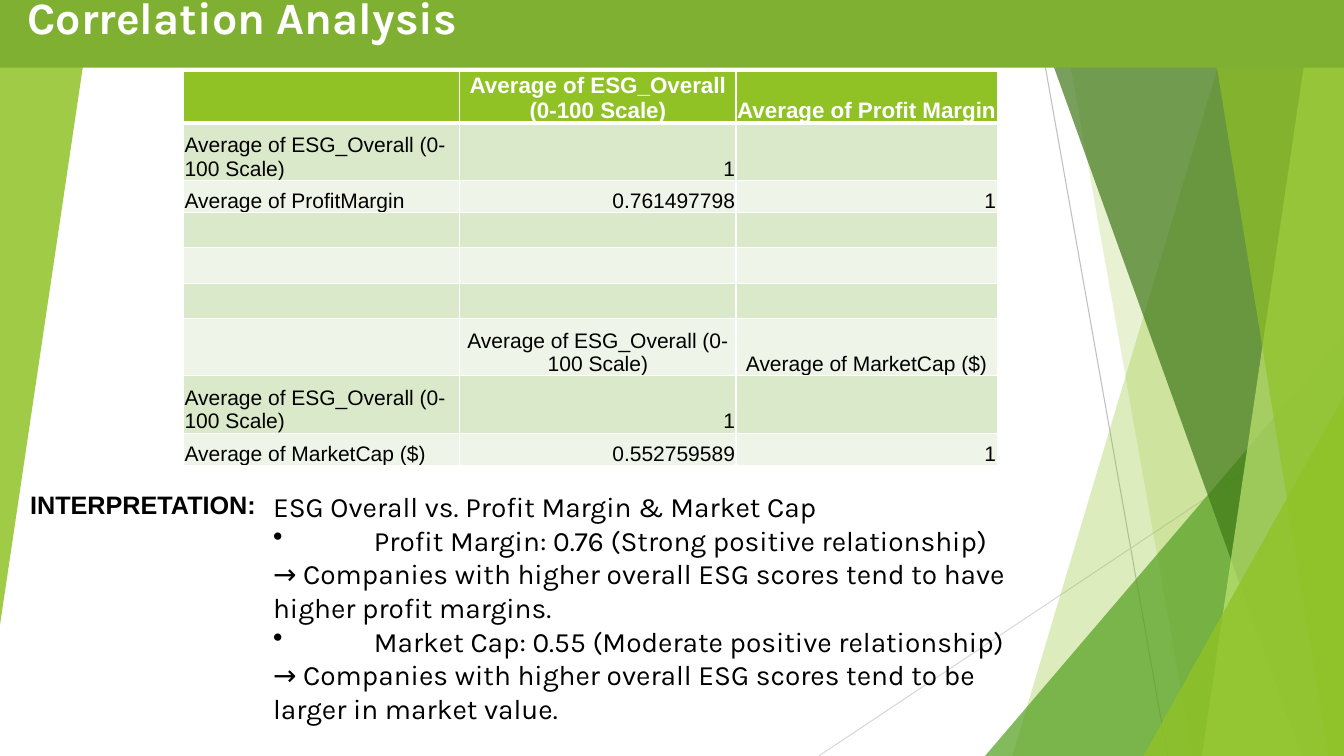
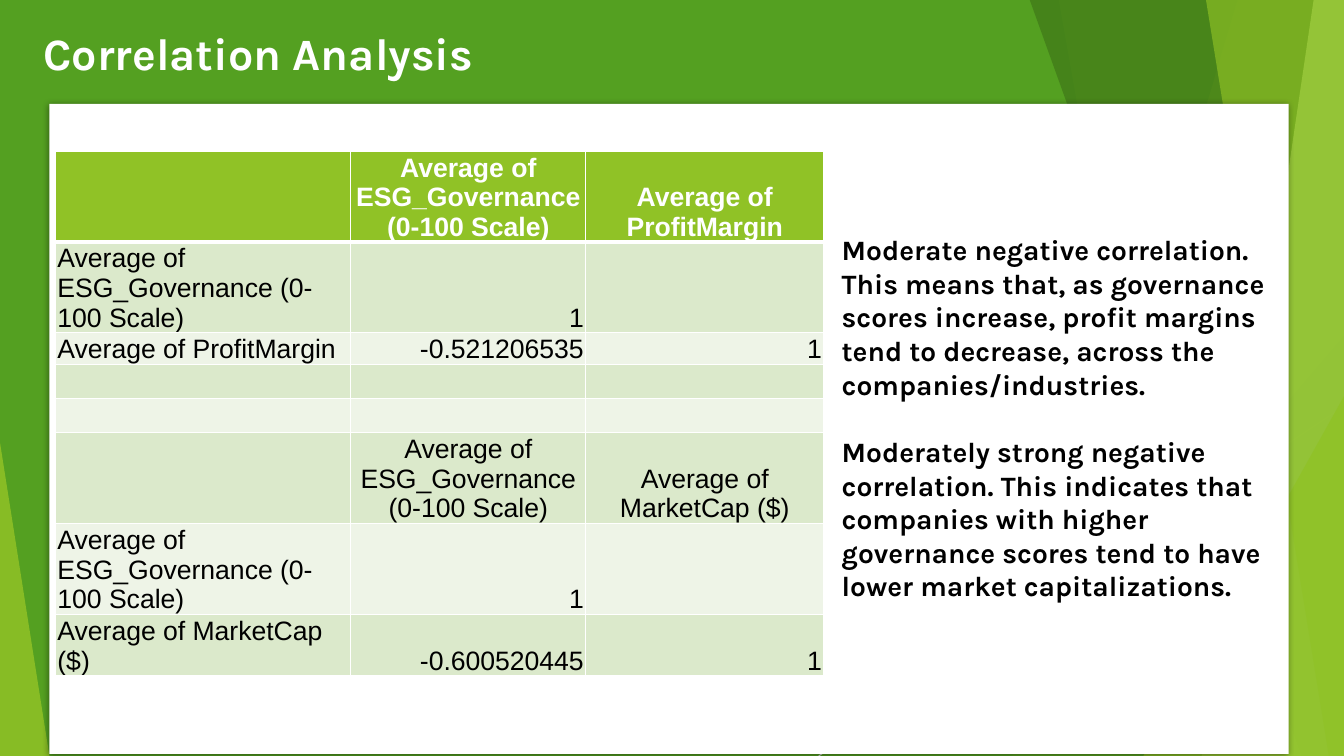
from lxml.etree import SubElement
from pptx import Presentation
from pptx.dml.color import RGBColor
from pptx.enum.shapes import MSO_CONNECTOR, MSO_SHAPE
from pptx.enum.text import MSO_ANCHOR, MSO_AUTO_SIZE, PP_ALIGN
from pptx.oxml.ns import qn
from pptx.util import Pt

PX = 9144  # EMU per px, 100 px to the inch
WIDTH, HEIGHT = 1333, 750

WHITE = RGBColor(0xFF, 0xFF, 0xFF)
BLACK = RGBColor(0x00, 0x00, 0x00)
LIME = RGBColor(0x90, 0xC2, 0x26)
GREEN = RGBColor(0x54, 0xA0, 0x21)
FOREST = RGBColor(0x3F, 0x78, 0x18)
PALE_LIME = RGBColor(0xBF, 0xE4, 0x71)
BAND_GREEN = RGBColor(0x80, 0xB0, 0x32)
ROW_TINTS = (RGBColor(0xEE, 0xF4, 0xE7), RGBColor(0xDB, 0xE9, 0xCB))
GREY = RGBColor(0xBF, 0xBF, 0xBF)
LIGHT_GREY = RGBColor(0xD8, 0xD8, 0xD8)

TITLE_FONT = {"name": "Karla", "size": Pt(32), "bold": True}
BODY_FONT = {"name": "Karla", "size": Pt(20), "bold": False}
STRONG_FONT = {"name": "Karla", "size": Pt(20), "bold": True}
LABEL_FONT = {"name": "Arial", "size": Pt(18), "bold": True}

OVERALL = "Average of ESG_Overall (0-100 Scale)"
GOVERNANCE = "Average of ESG_Governance (0-100 Scale)"
PROFIT = "Average of ProfitMargin"
MARKET = "Average of MarketCap ($)"
BLANK = ("", "", "")

OVERALL_ROWS = [
    ("", OVERALL, "Average of Profit Margin"),
    (OVERALL, "1", ""),
    (PROFIT, "0.761497798", "1"),
    BLANK, BLANK, BLANK,
    ("", OVERALL, MARKET),
    (OVERALL, "1", ""),
    (MARKET, "0.552759589", "1"),
]
GOVERNANCE_ROWS = [
    ("", GOVERNANCE, PROFIT),
    (GOVERNANCE, "1", ""),
    (PROFIT, "-0.521206535", "1"),
    BLANK, BLANK,
    ("", GOVERNANCE, MARKET),
    (GOVERNANCE, "1", ""),
    (MARKET, "-0.600520445", "1"),
]
OVERALL_NOTES = [
    "ESG Overall vs. Profit Margin & Market Cap",
    "• Profit Margin: 0.76 (Strong positive relationship)",
    "→ Companies with higher overall ESG scores tend to have higher profit margins.",
    "• Market Cap: 0.55 (Moderate positive relationship)",
    "→ Companies with higher overall ESG scores tend to be larger in market value.",
]
GOVERNANCE_NOTES = [
    "Moderate negative correlation. This means that, as governance scores increase, "
    "profit margins tend to decrease, across the companies/industries.",
    "Moderately strong negative correlation. This indicates that companies with higher "
    "governance scores tend to have lower market capitalizations.",
]


def emu(*lengths):
    return [length * PX for length in lengths]


def set_font(font, style, color):
    for key, value in style.items():
        setattr(font, key, value)
    font.color.rgb = color


def paint(shape, color, opacity=100):
    shape.shadow.inherit = False
    shape.line.fill.background()
    shape.fill.solid()
    shape.fill.fore_color.rgb = color
    if opacity < 100:
        tone = shape._element.spPr.find(qn("a:solidFill"))[0]
        SubElement(tone, qn("a:alpha"), val=str(opacity * 1000))


def add_rect(slide, box, color):
    rect = slide.shapes.add_shape(MSO_SHAPE.RECTANGLE, *emu(*box))
    paint(rect, color)
    return rect


def add_ray(slide, start, end, color):
    ray = slide.shapes.add_connector(MSO_CONNECTOR.STRAIGHT, *emu(*start, *end))
    ray.line.color.rgb = color
    ray.line.width = Pt(0.75)
    SubElement(ray._element.spPr, qn("a:effectLst"))


def add_streak(slide, top_x, bottom_x, color, opacity):
    """Facet from a slanted left edge to the right side of the slide."""
    outline = slide.shapes.build_freeform(*emu(top_x, -1), scale=1.0)
    corners = [(WIDTH, -1), (WIDTH, HEIGHT), (bottom_x, HEIGHT)]
    outline.add_line_segments([emu(*corner) for corner in corners], close=True)
    paint(outline.convert_to_shape(), color, opacity)


def add_wedge(slide, box, color, opacity, apex=1.0, rotation=0):
    wedge = slide.shapes.add_shape(MSO_SHAPE.ISOSCELES_TRIANGLE, *emu(*box))
    wedge.adjustments[0] = apex
    wedge.rotation = rotation
    paint(wedge, color, opacity)


def add_facets(slide):
    add_ray(slide, (WIDTH, 403), (812, HEIGHT), LIGHT_GREY)
    add_streak(slide, 1228, 1004, LIME, 30)
    add_streak(slide, 1050, 1183, LIME, 20)
    add_wedge(slide, (977, 333, 356, 417), GREEN, 72)
    add_streak(slide, 1021, 1291, FOREST, 70)
    add_streak(slide, 1303, 1192, PALE_LIME, 70)
    add_streak(slide, 1196, 1318, LIME, 65)
    add_wedge(slide, (1134, 393, 199, 357), LIME, 80)


def add_title(slide, left, top):
    title = slide.shapes.title
    title.left, title.top, title.width, title.height = emu(left, top, 541, 64)
    frame = title.text_frame
    frame.text = "Correlation Analysis"
    frame.auto_size = MSO_AUTO_SIZE.NONE
    frame.vertical_anchor = MSO_ANCHOR.TOP
    frame.paragraphs[0].alignment = PP_ALIGN.CENTER
    set_font(frame.paragraphs[0].runs[0].font, TITLE_FONT, WHITE)
    slide.shapes._spTree.append(title._element)  # bring to front


def set_bullet(paragraph):
    props = paragraph._p.get_or_add_pPr()
    props.set("marL", str(100 * PX))
    props.set("indent", str(-100 * PX))
    SubElement(props, qn("a:buChar"), char="•")


def add_text(slide, box, lines, style, gap=0):
    frame = slide.shapes.add_textbox(*emu(*box)).text_frame
    frame.word_wrap = True
    frame.auto_size = MSO_AUTO_SIZE.SHAPE_TO_FIT_TEXT
    for index, line in enumerate(lines):
        paragraph = frame.add_paragraph() if index else frame.paragraphs[0]
        if index and gap:
            paragraph.space_before = Pt(gap)
        if line.startswith("• "):
            set_bullet(paragraph)
        run = paragraph.add_run()
        run.text = line.removeprefix("• ")
        set_font(run.font, style, BLACK)


def set_borders(cell, row):
    props = cell._tc.get_or_add_tcPr()
    heavy_side = {0: "lnB", 1: "lnT"}.get(row)  # rule under the header
    for side in ("lnL", "lnR", "lnT", "lnB"):
        width = Pt(3 if side == heavy_side else 1)
        border = SubElement(props, qn(f"a:{side}"), w=str(width))
        fill = SubElement(border, qn("a:solidFill"))
        SubElement(fill, qn("a:srgbClr"), val=str(WHITE))


def cell_alignment(text, column):
    if column == 0:
        return PP_ALIGN.LEFT
    return PP_ALIGN.CENTER if text[:1].isalpha() else PP_ALIGN.RIGHT


def fill_cell(cell, text, row, column, size, inset):
    set_borders(cell, row)
    cell.fill.solid()
    cell.fill.fore_color.rgb = ROW_TINTS[row % 2] if row else LIME
    cell.vertical_anchor = MSO_ANCHOR.BOTTOM
    cell.margin_left = cell.margin_right = cell.margin_top = inset * PX
    cell.margin_bottom = 0
    if text:
        paragraph = cell.text_frame.paragraphs[0]
        paragraph.alignment = cell_alignment(text, column)
        run = paragraph.add_run()
        run.text = text
        style = {"name": "Arial", "size": Pt(size), "bold": row == 0}
        set_font(run.font, style, BLACK if row else WHITE)


def add_correlations(slide, left, top, rows, widths, heights, sizes, inset):
    """sizes holds the header and the body text size."""
    box = emu(left, top, sum(widths), sum(heights))
    table = slide.shapes.add_table(len(rows), len(widths), *box).table
    table.horz_banding = False
    for column, width in zip(table.columns, widths):
        column.width = width * PX
    for r, (texts, height) in enumerate(zip(rows, heights)):
        table.rows[r].height = height * PX
        for c, text in enumerate(texts):
            fill_cell(table.cell(r, c), text, r, c, sizes[min(r, 1)], inset)


def add_panel(slide, box):
    panel = add_rect(slide, box, WHITE)
    effects = panel._element.spPr.find(qn("a:effectLst"))
    shadow = SubElement(effects, qn("a:outerShdw"), blurRad=str(Pt(5)),
                        dist=str(Pt(1.4)), dir="5400000", rotWithShape="0")
    tone = SubElement(shadow, qn("a:srgbClr"), val=str(BLACK))
    SubElement(tone, qn("a:alpha"), val="43000")


def build_overall(slide):
    # Backdrop
    add_ray(slide, (1025, 0), (1158, HEIGHT), GREY)
    add_facets(slide)
    add_wedge(slide, (0, 0, 92, 620), LIME, 85, rotation=180)
    # Content
    add_correlations(slide, 182, 71, OVERALL_ROWS, (274, 274, 259),
                     (51, 57, 32, 35, 35, 35, 57, 57, 32), (16, 15), 1)
    add_text(slide, (261, 481, 748, 246), OVERALL_NOTES, BODY_FONT)
    add_text(slide, (20, 481, 269, 40), ["INTERPRETATION:"], LABEL_FONT)
    # Heading
    add_rect(slide, (0, -11, WIDTH, 78), BAND_GREEN)
    add_title(slide, -30, -15)


def build_governance(slide):
    # Backdrop
    slide.background.fill.solid()
    slide.background.fill.fore_color.rgb = GREEN
    add_facets(slide)
    add_wedge(slide, (0, 439, 49, 311), LIME, 85, apex=0.0)
    add_panel(slide, (49, 103, 1229, 645))
    # Content
    add_correlations(slide, 55, 150, GOVERNANCE_ROWS, (293, 233, 236),
                     (89, 90, 31, 34, 34, 90, 90, 61), (19, 19), 2)
    add_text(slide, (825, 226, 454, 380), GOVERNANCE_NOTES, STRONG_FONT, gap=24)
    # Heading
    add_title(slide, -14, 21)


def main():
    deck = Presentation()
    deck.slide_width, deck.slide_height = emu(WIDTH, HEIGHT)
    title_only = deck.slide_layouts[5]
    for build in (build_overall, build_governance):
        build(deck.slides.add_slide(title_only))
    deck.save("out.pptx")


if __name__ == "__main__":
    main()
